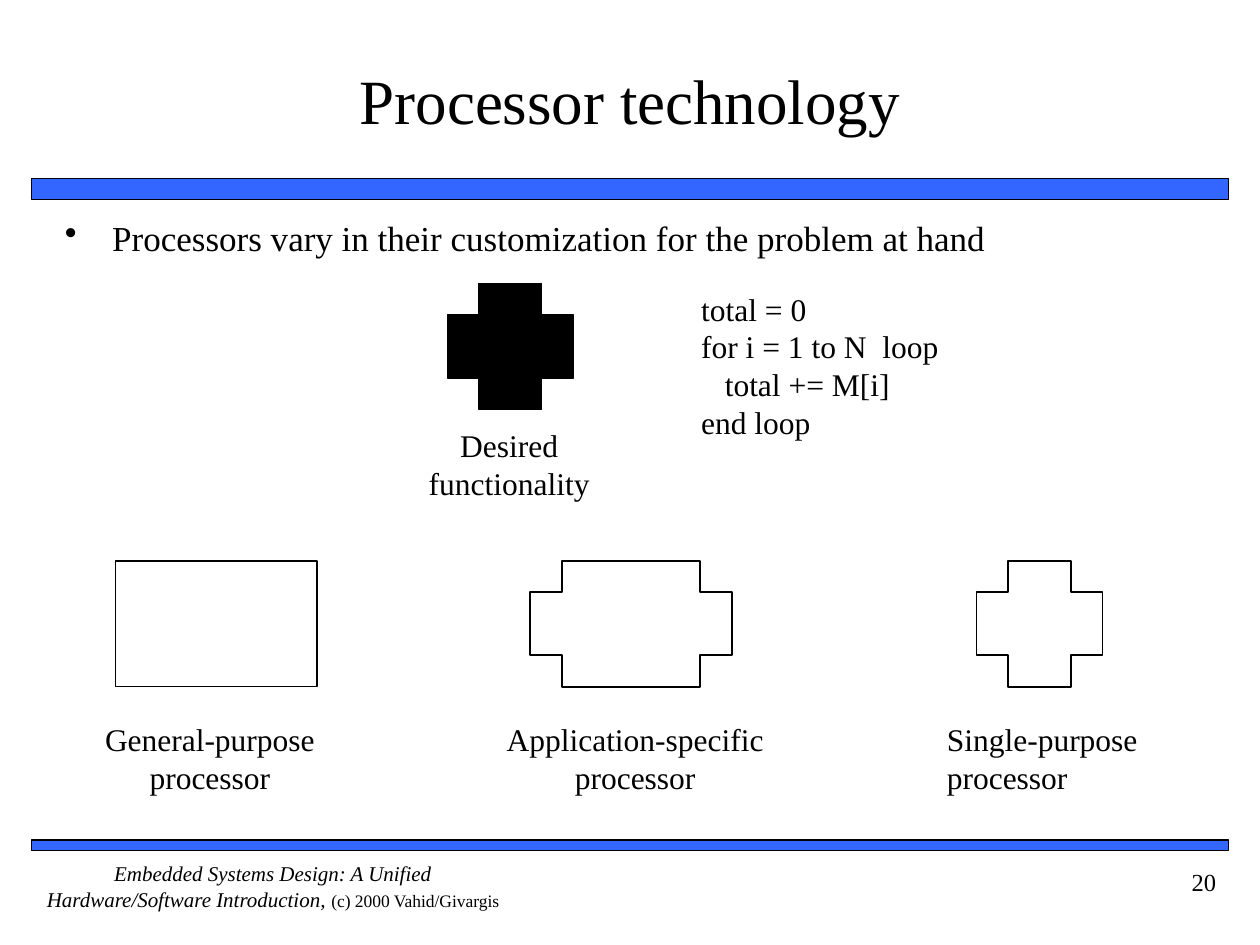
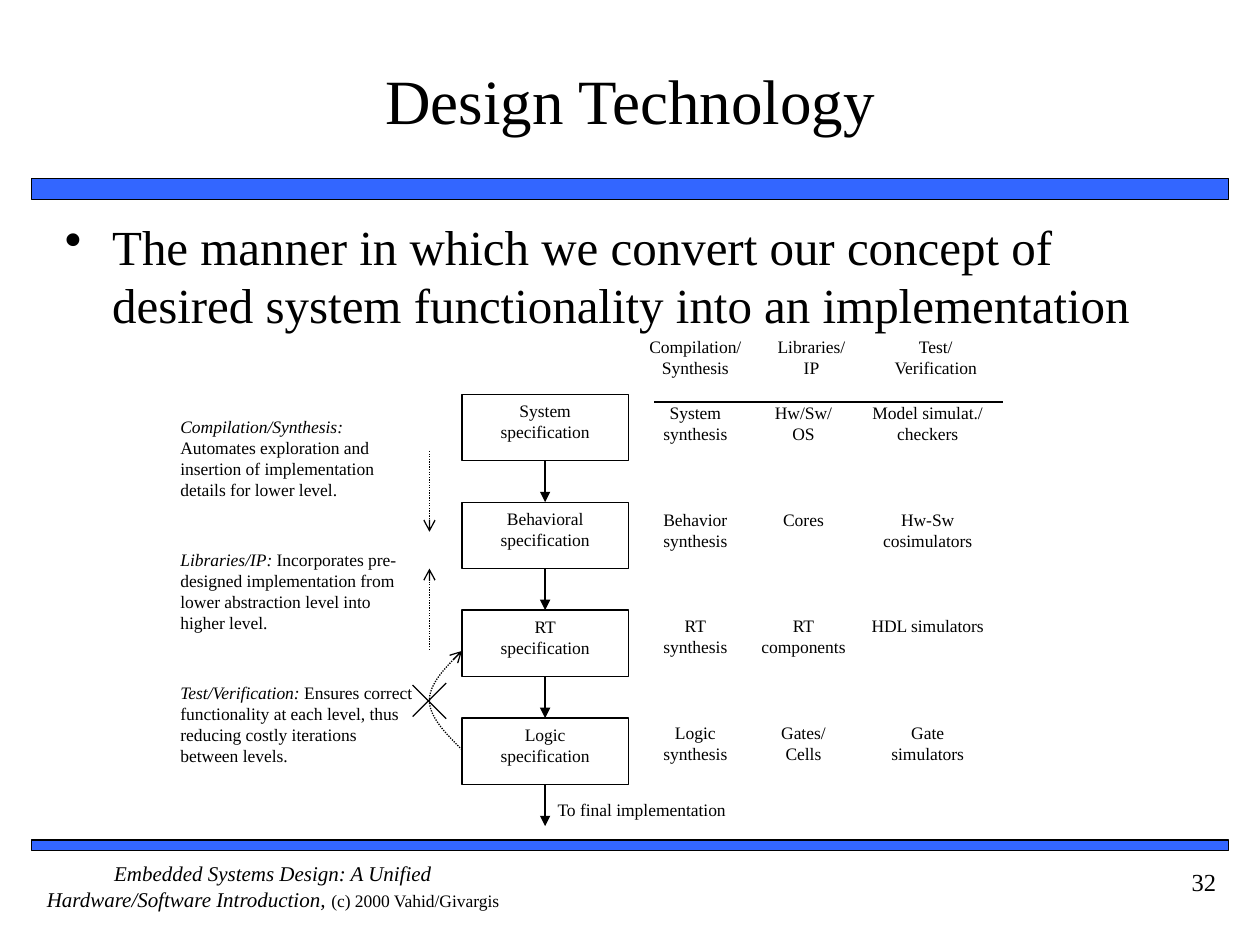
"""Build two slides on processor technology and design technology."""
import lxml.etree
import pptx
import pptx.dml.color
import pptx.enum.dml
import pptx.enum.shapes
import pptx.enum.text
import pptx.oxml.ns
import pptx.util

BLACK = pptx.dml.color.RGBColor(0x00, 0x00, 0x00)
WHITE = pptx.dml.color.RGBColor(0xFF, 0xFF, 0xFF)
BLUE = pptx.dml.color.RGBColor(0x33, 0x66, 0xFF)
FONT = "Times New Roman"
COLUMNS, ROWS = 120, 90
SHAPE = pptx.enum.shapes.MSO_SHAPE
ALIGN = pptx.enum.text.PP_ALIGN
ANCHOR = pptx.enum.text.MSO_ANCHOR
DOTTED = pptx.enum.dml.MSO_LINE.ROUND_DOT
ITALIC = {"italic": True}


def apply(target, values):
    """Set each named attribute of the target."""
    for name, value in values.items():
        setattr(target, name, value)


def add_xml(parent, tag, **attributes):
    """Append a DrawingML element to the parent."""
    return lxml.etree.SubElement(parent, pptx.oxml.ns.qn(tag), attributes)


class SlideBuilder:
    """Hold the shared style and the slide being drawn on a 120 by 90 grid."""

    def __init__(self, deck):
        self.deck = deck
        self.cell = deck.slide_width / COLUMNS
        self.page = None

    def grid(self, *lengths):
        """Turn grid lengths into slide units."""
        return [pptx.util.Emu(round(length * self.cell)) for length in lengths]

    def start(self, title, number):
        """Begin a slide with its title, bands, footer and number."""
        self.page = self.deck.slides.add_slide(self.deck.slide_layouts[6])
        for top, height in ((17, 2), (80, 1)):
            self.shape((3, top, 114, height), fill=BLUE)
        footer = [("Embedded Systems Design: A Unified Hardware/Software Introduction, ", ITALIC),
                  ("(c) 2000 Vahid/Givargis", {"size": pptx.util.Pt(10)})]
        self.text((3, 82, 46, 6), [footer], 12, ALIGN.CENTER, inset=(0, 0))
        self.text((5, 2, 110, 15), [title], 36, ALIGN.CENTER, ANCHOR.MIDDLE, (0, 0.6))
        self.text((105, 82, 12, 6), [str(number)], 14, ALIGN.RIGHT)

    def label(self, shape, paras, size, align=ALIGN.LEFT, anchor=ANCHOR.TOP, inset=(1.2, 0.6)):
        """Fill a shape with paragraphs, each a string or a list of formatted spans."""
        side, edge = self.grid(*inset)
        frame = shape.text_frame
        apply(frame, {"word_wrap": True, "vertical_anchor": anchor, "margin_left": side,
                      "margin_right": side, "margin_top": edge, "margin_bottom": edge})
        for index, content in enumerate(paras):
            para = frame.add_paragraph() if index else frame.paragraphs[0]
            para.alignment = align
            spans = [(content, {})] if isinstance(content, str) else content
            for words, style in spans:
                span = para.add_run()
                span.text = words
                apply(span.font, {"name": FONT, "size": pptx.util.Pt(size)} | style)
                span.font.color.rgb = BLACK

    def text(self, place, paras, size, *layout, **options):
        """Add a text box."""
        box = self.page.shapes.add_textbox(*self.grid(*place))
        self.label(box, paras, size, *layout, **options)
        return box

    def bullet(self, place, words, size):
        """Add a text box with one bulleted paragraph."""
        box = self.text(place, [words], size)
        indent = self.grid(4.5)[0]
        properties = box.text_frame.paragraphs[0]._p.get_or_add_pPr()
        properties.set("marL", str(indent))
        properties.set("indent", str(-indent))
        add_xml(properties, "a:buChar", char="•")

    def stroke(self, item, width, dash=None, head=None):
        """Style an outline, with an optional dash and arrowhead."""
        item.line.color.rgb = BLACK
        apply(item.line, {"width": pptx.util.Pt(width), "dash_style": dash})
        if head:
            outline = item._element.spPr.find(pptx.oxml.ns.qn("a:ln"))
            add_xml(outline, "a:tailEnd", type=head)

    def shape(self, place, kind=SHAPE.RECTANGLE, fill=WHITE, width=1):
        """Add a filled preset shape."""
        item = self.page.shapes.add_shape(kind, *self.grid(*place))
        item.shadow.inherit = False
        item.fill.solid()
        item.fill.fore_color.rgb = fill
        self.stroke(item, width)
        return item

    def line(self, start, end, dash=None, head=None, source=None, target=None):
        """Add a straight connector, joined to boxes above and below when given."""
        kind = pptx.enum.shapes.MSO_CONNECTOR.STRAIGHT
        item = self.page.shapes.add_connector(kind, *self.grid(*start, *end))
        if source:
            item.begin_connect(source, 2)
        if target:
            item.end_connect(target, 0)
        self.stroke(item, 0.75, dash, head)
        add_xml(item._element.spPr, "a:effectLst")

    def curve(self, points, dash, head):
        """Add an open outline through the points."""
        first, *rest = [self.grid(*point) for point in points]
        builder = self.page.shapes.build_freeform(*first, scale=1.0)
        builder.add_line_segments(rest, close=False)
        item = builder.convert_to_shape()
        item.shadow.inherit = False
        item.fill.background()
        self.stroke(item, 0.75, dash, head)


def bezier(controls, steps=16):
    """Return points along a cubic curve."""
    points = []
    for step in range(steps + 1):
        t = step / steps
        weights = ((1 - t) ** 3, 3 * t * (1 - t) ** 2, 3 * t * t * (1 - t), t ** 3)
        points.append(tuple(sum(w * c for w, c in zip(weights, axis)) for axis in zip(*controls)))
    return points


def processor_slide(builder):
    """Draw the three kinds of processor."""
    builder.start("Processor technology", 20)
    builder.bullet((5, 20, 112, 10),
                   "Processors vary in their customization for the problem at hand", 20)
    builder.shape((42.6, 27, 12, 12), SHAPE.CROSS, BLACK, 0.75)
    builder.text((36, 40, 25, 8.6), ["Desired functionality"], 18, ALIGN.CENTER, inset=(0, 0.6))
    code = ["total = 0", "for i = 1 to N  loop", "   total += M[i]", "end loop"]
    builder.text((65.6, 27, 29.4, 20.4), code, 18)
    processors = (
        ("General-purpose processor", SHAPE.RECTANGLE, 11, 19.2, 8, 24, ALIGN.CENTER),
        ("Application-specific processor", SHAPE.CROSS, 50.5, 19.2, 46, 29, ALIGN.CENTER),
        ("Single-purpose processor", SHAPE.CROSS, 93, 12, 89, 22, ALIGN.LEFT))
    for caption, kind, left, width, caption_left, caption_width, align in processors:
        builder.shape((left, 53.4, width, 12), kind)
        builder.text((caption_left, 68, caption_width, 9), [caption], 18, align)


def design_slide(builder):
    """Draw the specification levels with their tools."""
    builder.start("Design Technology", 32)
    builder.bullet((5, 20, 110, 13), "The manner in which we convert our concept of "
                   "desired system functionality into an implementation", 28)

    left, width, top, height, pitch = 44, 15.84, 37.55, 6.35, 10.28
    center = left + width / 2
    previous = None
    for index, level in enumerate(("System", "Behavioral", "RT", "Logic")):
        level_top = top + index * pitch
        box = builder.shape((left, level_top, width, height), width=0.75)
        builder.label(box, [level, "specification"], 10, ALIGN.CENTER)
        if previous:
            builder.line((center, level_top - pitch + height), (center, level_top),
                         head="triangle", source=previous, target=box)
        previous = box
    bottom = top + 3 * pitch + height
    builder.line((center, bottom), (center, bottom + 3.95), head="triangle", source=previous)
    builder.text((center, 75.5, 23.8, 4.8), ["To final implementation"], 10)

    notes = (
        ("Compilation/Synthesis:", " Automates exploration and insertion of "
         "implementation details for lower level."),
        ("Libraries/IP:", " Incorporates pre-designed implementation from lower "
         "abstraction level into higher level."),
        ("Test/Verification:", " Ensures correct functionality at each level, thus "
         "reducing costly iterations between levels."))
    for index, (term, meaning) in enumerate(notes):
        builder.text((16, 39.6 + 12.67 * index, 25, 12.7), [[(term, ITALIC), (meaning, {})]],
                     10, inset=(1.2, 0))

    axis, middle = 40.9, 66.7
    builder.line((axis, 42.95), (axis, 50.65), DOTTED, "arrow")
    builder.line((axis, 61.9), (axis, 54.15), DOTTED, "arrow")
    lower = bezier(((left, middle + 4.7), (42.45, middle + 3.15), (axis, middle + 1.6),
                    (axis, middle)))
    upper = [(x, 2 * middle - y) for x, y in reversed(lower[:-1])]
    builder.curve(lower + upper, DOTTED, "arrow")
    builder.line((39.3, 65.25), (42.5, 68.45))
    builder.line((42.5, 65.05), (39.3, 68.25))

    tools = (
        (58.3, 58.3, 15.84, ("Compilation/", "Synthesis"),
         (("System", "synthesis"), ("Behavior", "synthesis"), ("RT", "synthesis"),
          ("Logic", "synthesis"))),
        (69.36, 68.6, 15.84, ("Libraries/", "IP"),
         (("Hw/Sw/", "OS"), ("Cores",), ("RT", "components"), ("Gates/", "Cells"))),
        (81.2, 81.2, 14.3, ("Test/", "Verification"),
         (("Model simulat./", "checkers"), ("Hw-Sw", "cosimulators"), ("HDL simulators",),
          ("Gate", "simulators"))))
    for head_left, tool_left, tool_width, heading, entries in tools:
        builder.text((head_left, 32, width, height), heading, 10, ALIGN.CENTER, inset=(0, 0))
        for index, entry in enumerate(entries):
            builder.text((tool_left, 38.3 + 10.15 * index, tool_width, height), entry, 10,
                         ALIGN.CENTER, inset=(0, 0))
    builder.line((62.3, 38.3), (95.5, 38.3))


def main():
    """Build and save the deck."""
    deck = pptx.Presentation()
    apply(deck, {"slide_width": pptx.util.Inches(10),
                 "slide_height": pptx.util.Inches(10 * ROWS / COLUMNS)})
    builder = SlideBuilder(deck)
    processor_slide(builder)
    design_slide(builder)
    deck.save("out.pptx")


if __name__ == "__main__":
    main()
